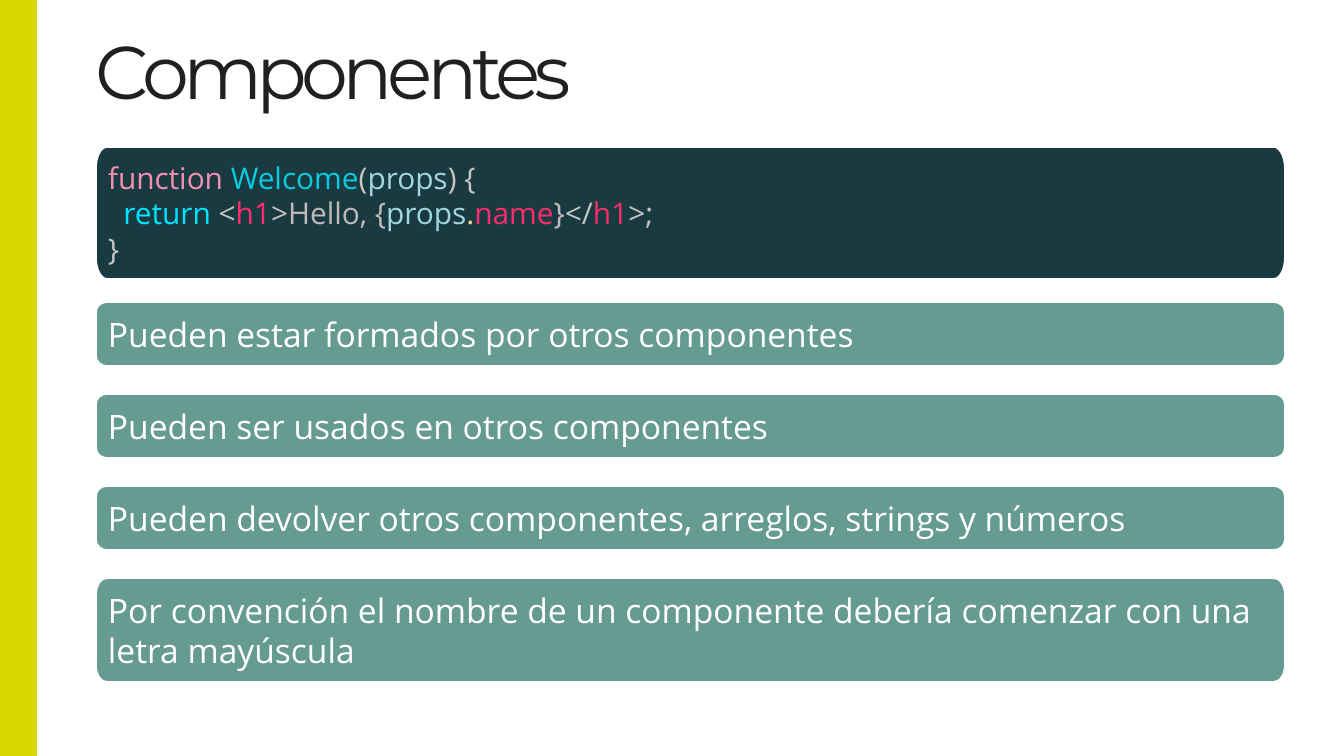
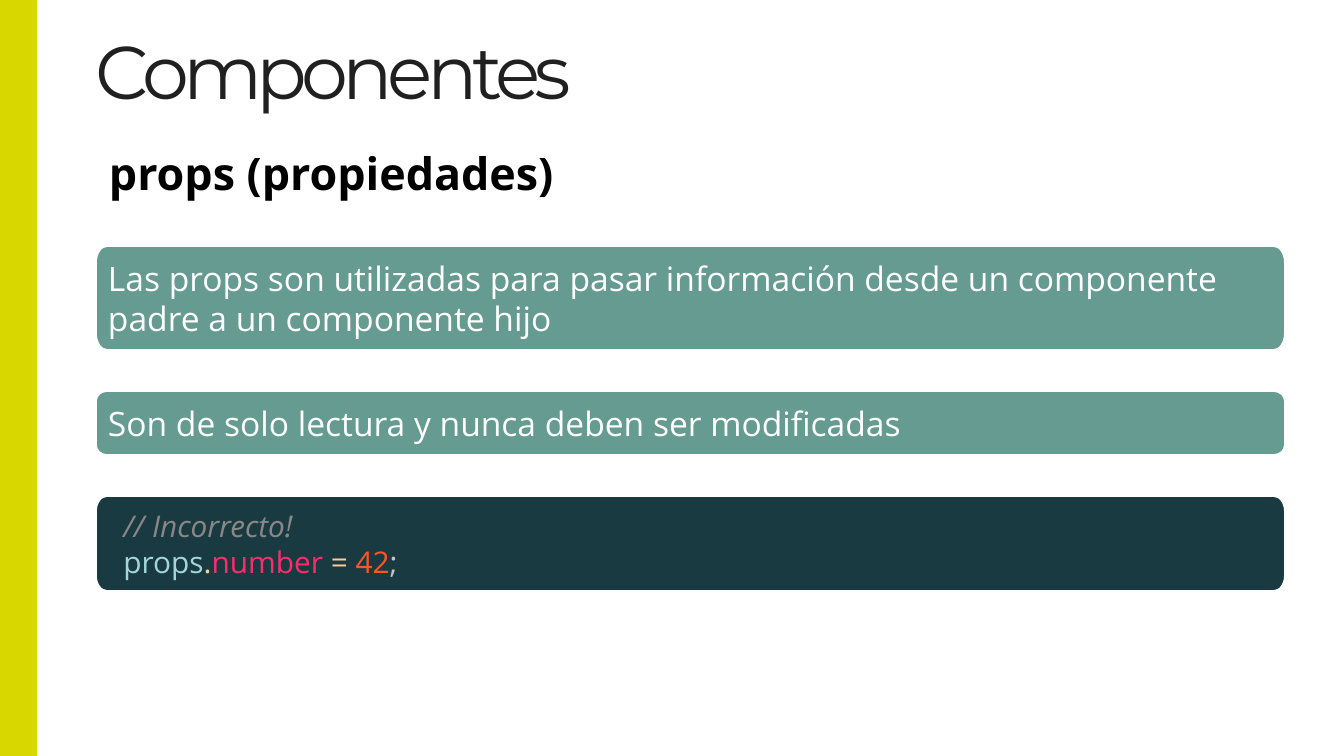
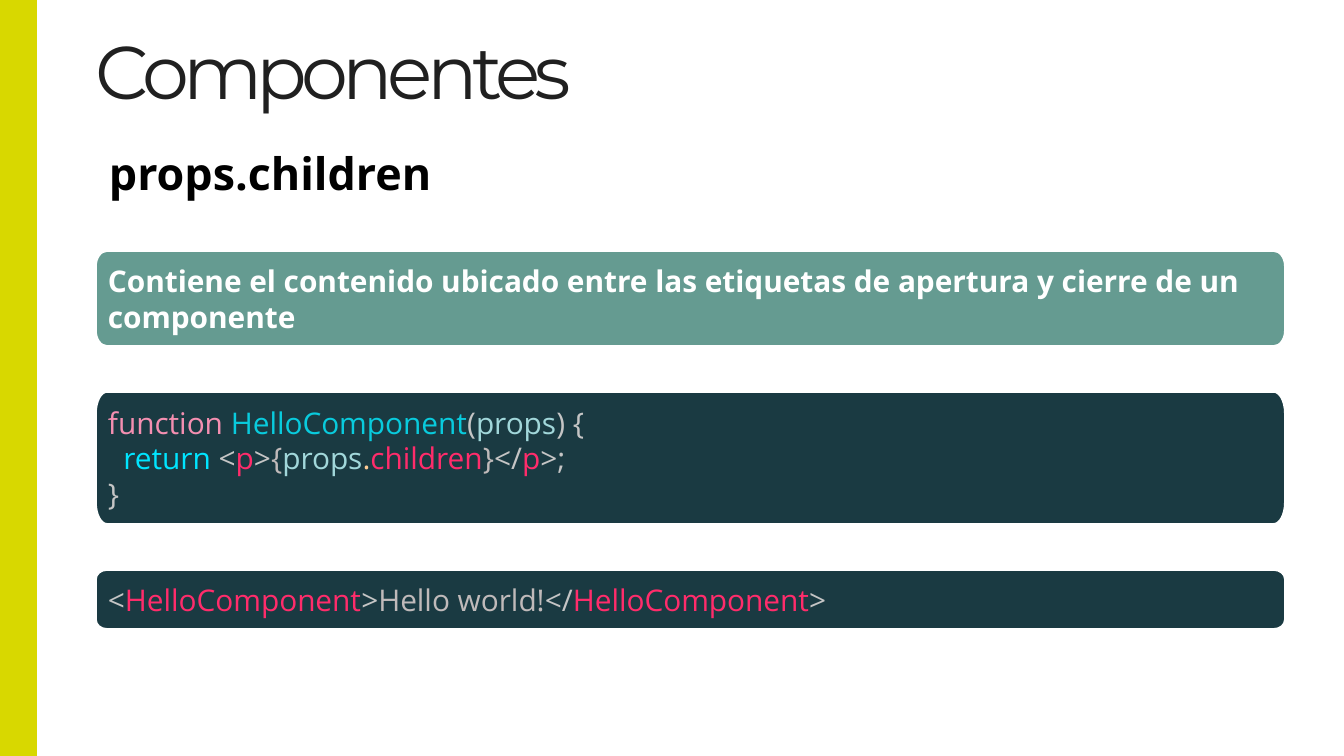
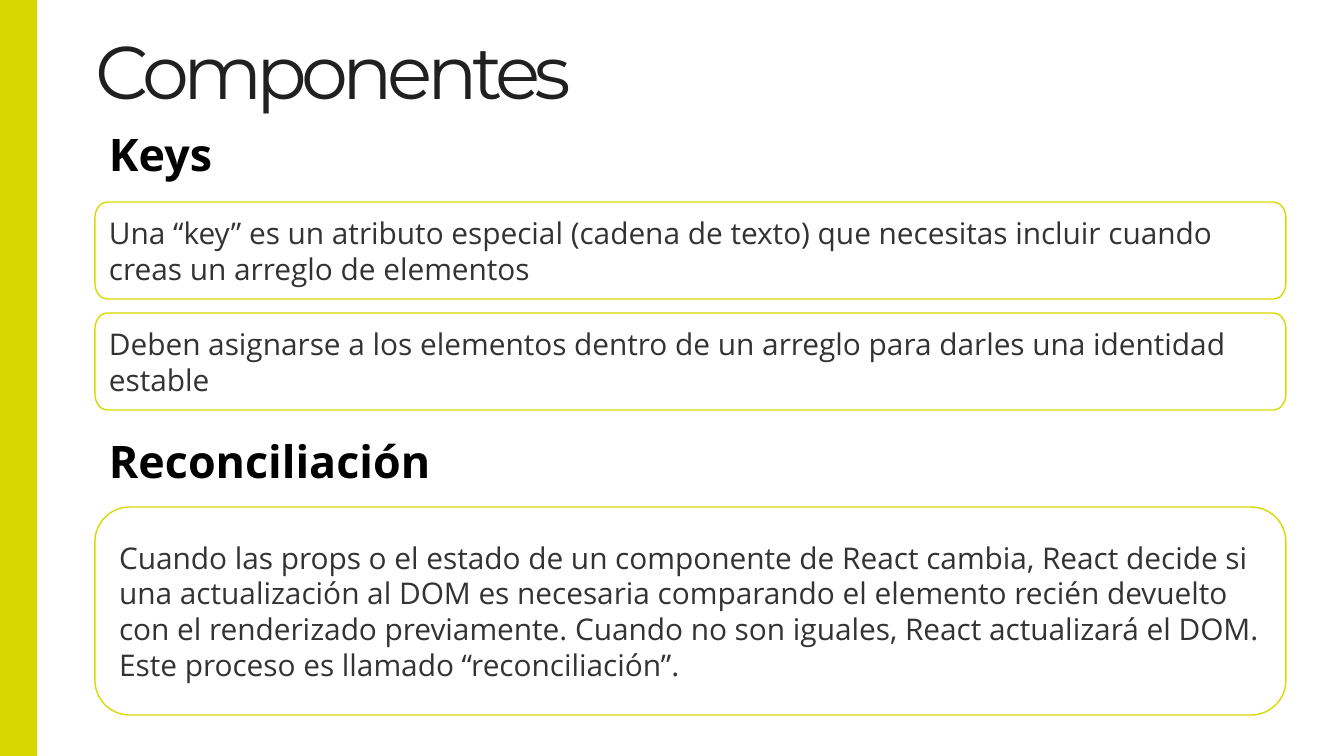
from math import cos, pi, sin

from lxml.etree import SubElement
from pptx import Presentation
from pptx.dml.color import RGBColor
from pptx.enum.shapes import MSO_SHAPE
from pptx.enum.text import MSO_ANCHOR, PP_ALIGN
from pptx.oxml.ns import qn
from pptx.util import Emu, Pt

PX = 914400 / 134.4
LEFT, WIDTH = 95, 1191
CURVE = 0.55

LIME = RGBColor(0xD8, 0xD8, 0x00)
OUTLINE = RGBColor(0xD9, 0xD9, 0x00)
WHITE = RGBColor(0xFF, 0xFF, 0xFF)
BLACK = RGBColor(0x00, 0x00, 0x00)
TITLE = RGBColor(0x20, 0x20, 0x20)
BODY = RGBColor(0x33, 0x33, 0x33)
GREEN = RGBColor(0x65, 0x9B, 0x91)
NAVY = RGBColor(0x1A, 0x3A, 0x42)

PUNCT = RGBColor(0xC5, 0xC5, 0xC5)
PLAIN = RGBColor(0xC0, 0xBA, 0xBA)
INDENT = RGBColor(0xE6, 0xE6, 0xE6)
KEYWORD = RGBColor(0xF4, 0x8F, 0xB1)
RETURN = RGBColor(0x00, 0xE5, 0xFF)
NAME = RGBColor(0x09, 0xCB, 0xDD)
VARIABLE = RGBColor(0xA1, 0xD7, 0xDA)
TAG = RGBColor(0xFF, 0x2C, 0x6B)
OPERATOR = RGBColor(0xFF, 0xCC, 0x95)
NUMBER = RGBColor(0xFF, 0x56, 0x22)
COMMENT = RGBColor(0x8A, 0x87, 0x87)


def px(n):
    """Turn pixels into EMU."""
    return Emu(round(n * PX))


def box(*lengths):
    """Turn left, top, width and height from pixels into EMU."""
    return [px(n) for n in lengths]


def set_frame(tf, anchor, insets):
    """Wrap a text frame and set its anchor and insets."""
    tf.word_wrap = True
    tf.vertical_anchor = anchor
    (tf.margin_left, tf.margin_top,
     tf.margin_right, tf.margin_bottom) = box(*insets)


def style(p, size, color=None, bold=False, name="Open Sans"):
    """Set the font and alignment of a whole paragraph."""
    p.alignment = PP_ALIGN.LEFT
    p.font.name = name
    p.font.size = Pt(size)
    p.font.bold = bold
    if color is not None:
        p.font.color.rgb = color


def paint(sp, fill, line=None, width=0):
    """Set fill and outline and remove the shadow."""
    sp.shadow.inherit = False
    sp.fill.solid()
    sp.fill.fore_color.rgb = fill
    if line is None:
        sp.line.fill.background()
    else:
        sp.line.color.rgb = line
        sp.line.width = Pt(width)


def new_slide(prs):
    """Add a slide with the shared title and side band."""
    s = prs.slides.add_slide(prs.slide_layouts[6])
    tf = s.shapes.add_textbox(*box(LEFT, 0, 1212, 121)).text_frame
    set_frame(tf, MSO_ANCHOR.BOTTOM, (1, 7, 13, 7))
    p = tf.paragraphs[0]
    r = p.add_run()
    r.text = "Componentes"
    r._r.get_or_add_rPr().set("spc", "-300")
    style(p, 40, TITLE, name="Montserrat")
    band = s.shapes.add_shape(MSO_SHAPE.RECTANGLE, *box(0, 0, 37, 756))
    paint(band, LIME)
    return s


def heading(s, top, text):
    """Add a bold section heading."""
    tf = s.shapes.add_textbox(*box(LEFT, top, 672, 67)).text_frame
    set_frame(tf, MSO_ANCHOR.TOP, (14, 7, 13, 7))
    p = tf.paragraphs[0]
    p.text = text
    style(p, 24, BLACK, bold=True)


def round_corners(sp):
    """Turn every other segment of an eight-point outline into a curve."""
    outline = sp._element.find(".//" + qn("a:path"))
    ends = [(int(pt.get("x")), int(pt.get("y")))
            for pt in outline.iter(qn("a:pt"))]
    for i in range(1, 8, 2):
        (x0, y0), (x1, y1) = ends[i - 1], ends[i]
        corner = (x0, y1) if i % 4 == 1 else (x1, y0)
        segment = outline[i]
        segment.clear()
        curve = SubElement(outline, qn("a:cubicBezTo"))
        controls = [[round(a + CURVE * (c - a)) for a, c in zip(end, corner)]
                    for end in ((x0, y0), (x1, y1))]
        for x, y in (*controls, (x1, y1)):
            SubElement(curve, qn("a:pt"), x=str(x), y=str(y))
        outline.replace(segment, curve)


def panel(s, top, height):
    """Add a panel with elliptical corners, a sixth of its height tall."""
    rx, ry = 12, height / 6
    right, bottom = LEFT + WIDTH - rx, top + height - ry
    centers = [(right, bottom), (LEFT + rx, bottom),
               (LEFT + rx, top + ry), (right, top + ry)]
    points = [(px(cx + rx * cos(a)), px(cy + ry * sin(a)))
              for quarter, (cx, cy) in enumerate(centers)
              for a in (quarter * pi / 2, (quarter + 1) * pi / 2)]
    builder = s.shapes.build_freeform(*points[0], scale=1.0)
    builder.add_line_segments(points[1:], close=True)
    sp = builder.convert_to_shape()
    round_corners(sp)
    return sp


def statement(s, top, height, text, size=18, bold=False):
    """Add a green panel with one statement."""
    sp = panel(s, top, height)
    paint(sp, GREEN, WHITE, 2)
    set_frame(sp.text_frame, MSO_ANCHOR.MIDDLE, (13, 12, 12, 12))
    p = sp.text_frame.paragraphs[0]
    p.text = text
    style(p, size, WHITE, bold)


def code(s, top, height, lines):
    """Add a dark panel with coloured lines of code."""
    sp = panel(s, top, height)
    paint(sp, NAVY, WHITE, 2)
    tf = sp.text_frame
    set_frame(tf, MSO_ANCHOR.MIDDLE, (13, 12, 12, 12))
    for i, tokens in enumerate(lines):
        p = tf.add_paragraph() if i else tf.paragraphs[0]
        style(p, 16)
        for text, color in tokens:
            r = p.add_run()
            r.text = text
            r.font.color.rgb = color
            if color == COMMENT:
                r.font.italic = True


def fill_note(sp, text):
    """Outline a note and write its text."""
    paint(sp, WHITE, OUTLINE, 0.75)
    set_frame(sp.text_frame, MSO_ANCHOR.MIDDLE, (14, 7, 13, 7))
    p = sp.text_frame.paragraphs[0]
    p.text = text
    style(p, 16, BODY)


def note(s, top, height, text):
    """Add an outlined panel with a note."""
    fill_note(panel(s, top, height), text)


def round_note(s, top, height, text):
    """Add a note in a widely rounded rectangle."""
    sp = s.shapes.add_shape(MSO_SHAPE.ROUNDED_RECTANGLE,
                            *box(LEFT, top, WIDTH, height))
    fill_note(sp, text)


def stack(s, top, gap, parts):
    """Place parts below each other with equal gaps."""
    for draw, height, *content in parts:
        draw(s, top, height, *content)
        top += height + gap


def component(name, tag, before, prop):
    """Return the coloured lines of a function component."""
    return [
        [("function ", KEYWORD), (name, NAME), ("(", PUNCT),
         ("props", VARIABLE), (") {", PUNCT)],
        [("  ", INDENT), ("return ", RETURN), ("<", PUNCT), (tag, TAG),
         (">", PUNCT), (before, PLAIN), ("props", VARIABLE),
         (".", OPERATOR), (prop, TAG), ("}", PLAIN), ("</", PUNCT),
         (tag, TAG), (">;", PUNCT)],
        [("}", PUNCT)],
    ]


def components_slide(prs):
    """Build the slide on what components are."""
    s = new_slide(prs)
    code(s, 146, 134, component("Welcome", "h1", "Hello, {", "name"))
    stack(s, 301, 26, [
        (statement, 66, "Pueden estar formados por otros componentes"),
        (statement, 66, "Pueden ser usados en otros componentes"),
        (statement, 66, "Pueden devolver otros componentes, arreglos, "
                        "strings y números"),
        (statement, 106, "Por convención el nombre de un componente debería "
                         "comenzar con una letra mayúscula"),
    ])


def props_slide(prs):
    """Build the slide on props."""
    s = new_slide(prs)
    heading(s, 139, "props (propiedades)")
    stack(s, 245, 39, [
        (statement, 106, "Las props son utilizadas para pasar información "
                         "desde un componente padre a un componente hijo"),
        (statement, 66, "Son de solo lectura y nunca deben ser modificadas"),
        (code, 97, [
            [("  ", INDENT), ("// Incorrecto!", COMMENT)],
            [("  ", INDENT), ("props", VARIABLE), (".", OPERATOR),
             ("number ", TAG), ("= ", OPERATOR), ("42", NUMBER),
             (";", PUNCT)],
        ]),
    ])


def children_slide(prs):
    """Build the slide on props.children."""
    s = new_slide(prs)
    heading(s, 139, "props.children")
    stack(s, 250, 44, [
        (statement, 97, "Contiene el contenido ubicado entre las etiquetas "
                        "de apertura y cierre de un componente", 16, True),
        (code, 134, component("HelloComponent", "p", "{", "children")),
        (code, 61, [
            [("<", PUNCT), ("HelloComponent", TAG), (">", PUNCT),
             ("Hello world!", PLAIN), ("</", PUNCT),
             ("HelloComponent", TAG), (">", PUNCT)],
        ]),
    ])


def keys_slide(prs):
    """Build the slide on keys and reconciliation."""
    s = new_slide(prs)
    heading(s, 120, "Keys")
    stack(s, 202, 14, [
        (note, 97, "Una “key” es un atributo especial (cadena de texto) que "
                   "necesitas incluir cuando creas un arreglo de elementos"),
        (note, 97, "Deben asignarse a los elementos dentro de un arreglo "
                   "para darles una identidad estable"),
    ])
    heading(s, 427, "Reconciliación")
    round_note(s, 507, 208,
               "Cuando las props o el estado de un componente de React "
               "cambia, React decide si una actualización al DOM es "
               "necesaria comparando el elemento recién devuelto con el "
               "renderizado previamente. Cuando no son iguales, React "
               "actualizará el DOM. Este proceso es llamado "
               "“reconciliación”.")


def main():
    """Build and save the presentation."""
    prs = Presentation()
    prs.slide_width, prs.slide_height = px(1344), px(756)
    for build in (components_slide, props_slide, children_slide, keys_slide):
        build(prs)
    prs.save("out.pptx")


if __name__ == "__main__":
    main()
